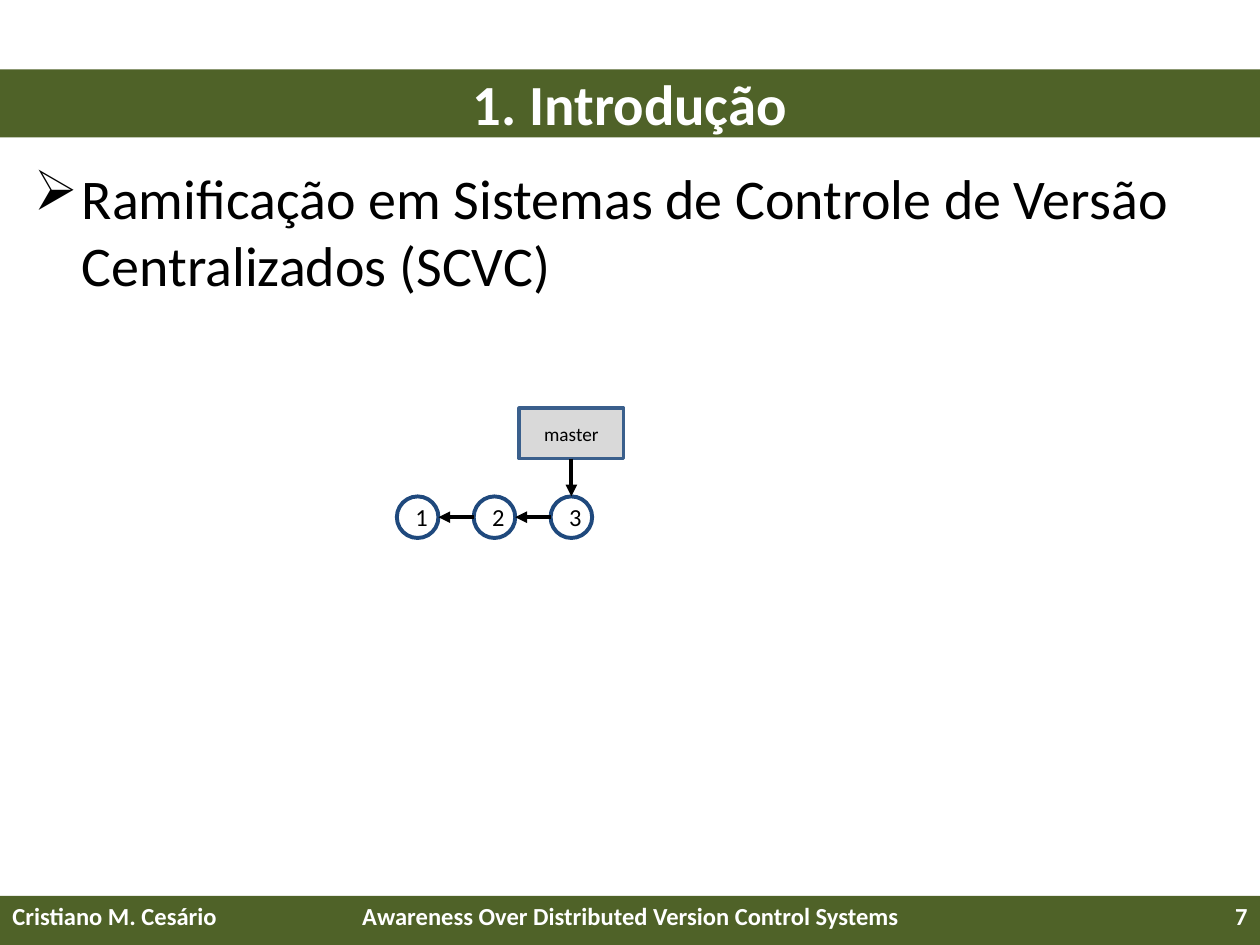
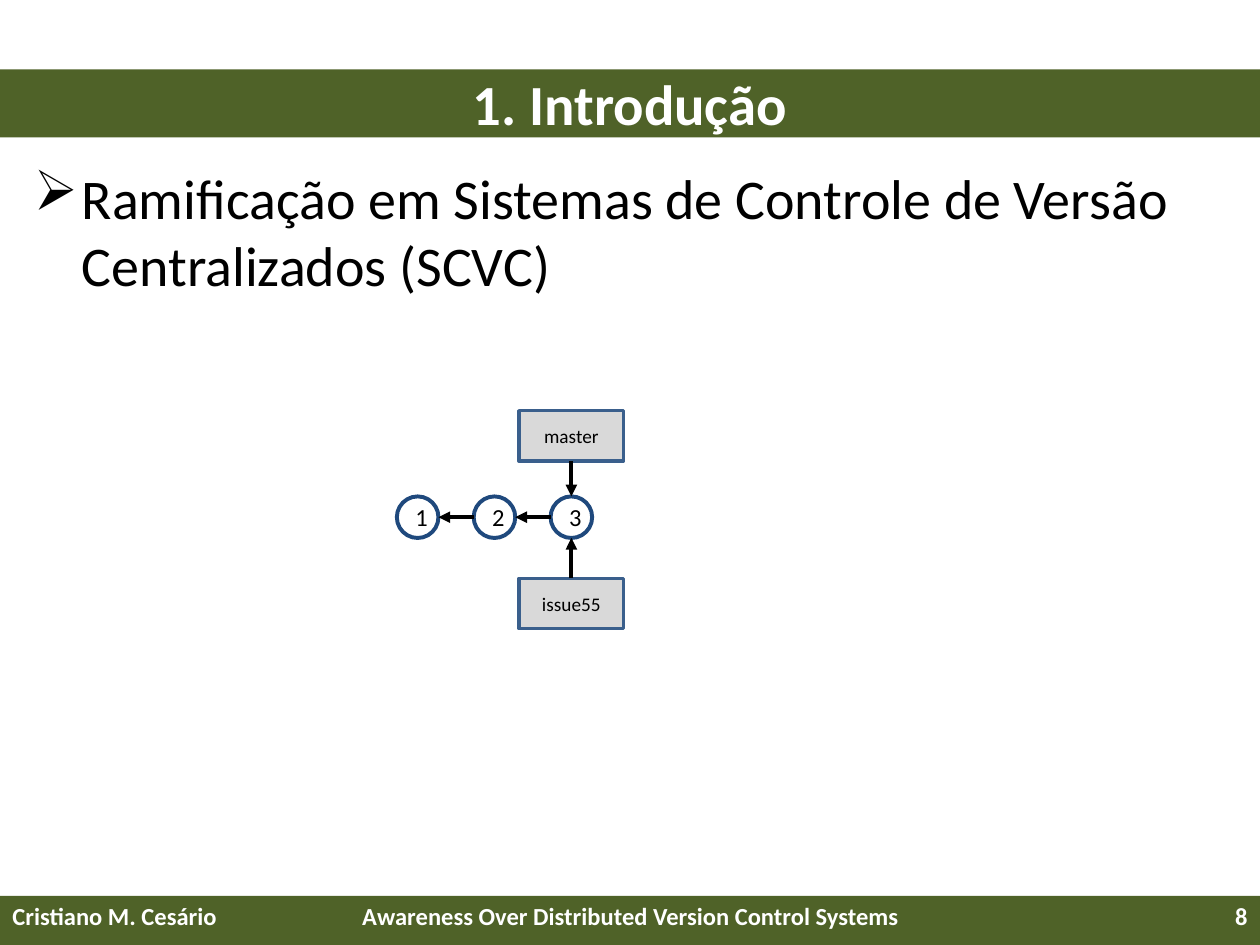
from lxml import etree
from pptx import Presentation
from pptx.dml.color import RGBColor
from pptx.enum.shapes import MSO_CONNECTOR, MSO_SHAPE
from pptx.enum.text import MSO_ANCHOR, PP_ALIGN
from pptx.oxml.ns import qn
from pptx.util import Inches, Pt

RECTANGLE, OVAL = MSO_SHAPE.RECTANGLE, MSO_SHAPE.OVAL
STRAIGHT = MSO_CONNECTOR.STRAIGHT
MIDDLE = MSO_ANCHOR.MIDDLE
LEFT, CENTER, RIGHT = PP_ALIGN.LEFT, PP_ALIGN.CENTER, PP_ALIGN.RIGHT

FONT = "Calibri"
COLORS = {
    "band": "4F6228",
    "band_text": "FFFFFF",
    "text": "000000",
    "commit_line": "1F497D",
    "branch_fill": "D9D9D9",
    "branch_line": "3A5F8C",
}

SLIDE_WIDTH, SLIDE_HEIGHT = 10, 7.5
TITLE_BOX = (0, 0.55, SLIDE_WIDTH, 0.54)
BODY_BOX = (0.17, 1.25, 9.67, 5.75)
FOOTER_BOX = (0, 7.1, SLIDE_WIDTH, 0.4)

COMMIT_SIZE, COMMIT_STEP = 0.33, 0.61
BRANCH_WIDTH, BRANCH_HEIGHT = 0.83, 0.4

TITLE = "1. Introdução"
TOPIC = "Ramificação em Sistemas de Controle de Versão Centralizados (SCVC)"
AUTHOR = "Cristiano M. Cesário"
TALK = "Awareness Over Distributed Version Control Systems"


def color(name):
    return RGBColor.from_string(COLORS[name])


def write(shape, text, size, color_name="text", align=CENTER, bold=False):
    shape.text_frame.word_wrap = True
    paragraph = shape.text_frame.paragraphs[0]
    paragraph.text = text
    paragraph.alignment = align
    font = paragraph.font
    font.name, font.size, font.bold = FONT, Pt(size), bold
    font.color.rgb = color(color_name)


def add_box(shapes, kind, box, fill=None, line=None, line_width=2.25):
    shape = shapes.add_shape(kind, *map(Inches, box))
    shape.shadow.inherit = False
    shape.text_frame.vertical_anchor = MIDDLE
    if fill:
        shape.fill.solid()
        shape.fill.fore_color.rgb = color(fill)
    else:
        shape.fill.background()
    if line:
        shape.line.color.rgb = color(line)
        shape.line.width = Pt(line_width)
    else:
        shape.line.fill.background()
    return shape


def add_arrow(shapes, start, end):
    arrow = shapes.add_connector(STRAIGHT, *map(Inches, (*start, *end)))
    arrow.line.color.rgb = color("text")
    arrow.line.width = Pt(2.25)
    line = arrow.line._get_or_add_ln()
    etree.SubElement(line, qn("a:tailEnd"), type="triangle")
    etree.SubElement(arrow._element.spPr, qn("a:effectLst"))


def add_title(slide, box):
    band = add_box(slide.shapes, RECTANGLE, box, fill="band")
    write(band, TITLE, 32.4, "band_text", bold=True)


def add_topic(slide, box):
    shape = slide.shapes.add_textbox(*map(Inches, box))
    properties = shape.text_frame.paragraphs[0]._p.get_or_add_pPr()
    properties.set("marL", str(Inches(0.38)))
    properties.set("indent", str(Inches(-0.38)))
    etree.SubElement(properties, qn("a:buChar"), char="➢")
    write(shape, TOPIC, 32, align=LEFT)


def add_footer(slide, box, number):
    left, top, width, height = box
    add_box(slide.shapes, RECTANGLE, (left, top + 0.01, width, height - 0.01), fill="band")
    columns = (
        (0, 2.33, AUTHOR, LEFT),
        (2.42, 5.17, TALK, CENTER),
        (7.67, 2.33, str(number), RIGHT),
    )
    for offset, column_width, text, align in columns:
        column = slide.shapes.add_textbox(
            *map(Inches, (left + offset, top, column_width, height)))
        write(column, text, 14, "band_text", align, bold=True)


def add_history(slide, left, top, branches, commit_count=3):
    """Draw a row of commits and the (name, top) branches that point to the last one."""
    shapes = slide.shapes.add_group_shape().shapes
    middle = top + COMMIT_SIZE / 2

    # Commits, each pointing back to its parent
    for index in range(commit_count):
        x = left + index * COMMIT_STEP
        commit = add_box(shapes, OVAL, (x, top, COMMIT_SIZE, COMMIT_SIZE), line="commit_line")
        write(commit, str(index + 1), 14)
        if index:
            add_arrow(shapes, (x, middle), (x - COMMIT_STEP + COMMIT_SIZE, middle))

    # Branch labels above or below the last commit
    center = left + (commit_count - 1) * COMMIT_STEP + COMMIT_SIZE / 2
    for name, branch_top in branches:
        branch = add_box(
            shapes, RECTANGLE,
            (center - BRANCH_WIDTH / 2, branch_top, BRANCH_WIDTH, BRANCH_HEIGHT),
            "branch_fill", "branch_line", 2)
        write(branch, name, 11)
        if branch_top < top:
            add_arrow(shapes, (center, branch_top + BRANCH_HEIGHT), (center, top))
        else:
            add_arrow(shapes, (center, branch_top), (center, top + COMMIT_SIZE))


def add_history_slide(presentation, number, branches):
    slide = presentation.slides.add_slide(presentation.slide_layouts[6])
    add_footer(slide, FOOTER_BOX, number)
    add_topic(slide, BODY_BOX)
    add_title(slide, TITLE_BOX)
    add_history(slide, 3.15, 3.94, branches)


def main():
    presentation = Presentation()
    presentation.slide_width = Inches(SLIDE_WIDTH)
    presentation.slide_height = Inches(SLIDE_HEIGHT)
    add_history_slide(presentation, 7, [("master", 3.24)])
    add_history_slide(presentation, 8, [("master", 3.26), ("issue55", 4.59)])
    presentation.save("out.pptx")


if __name__ == "__main__":
    main()
